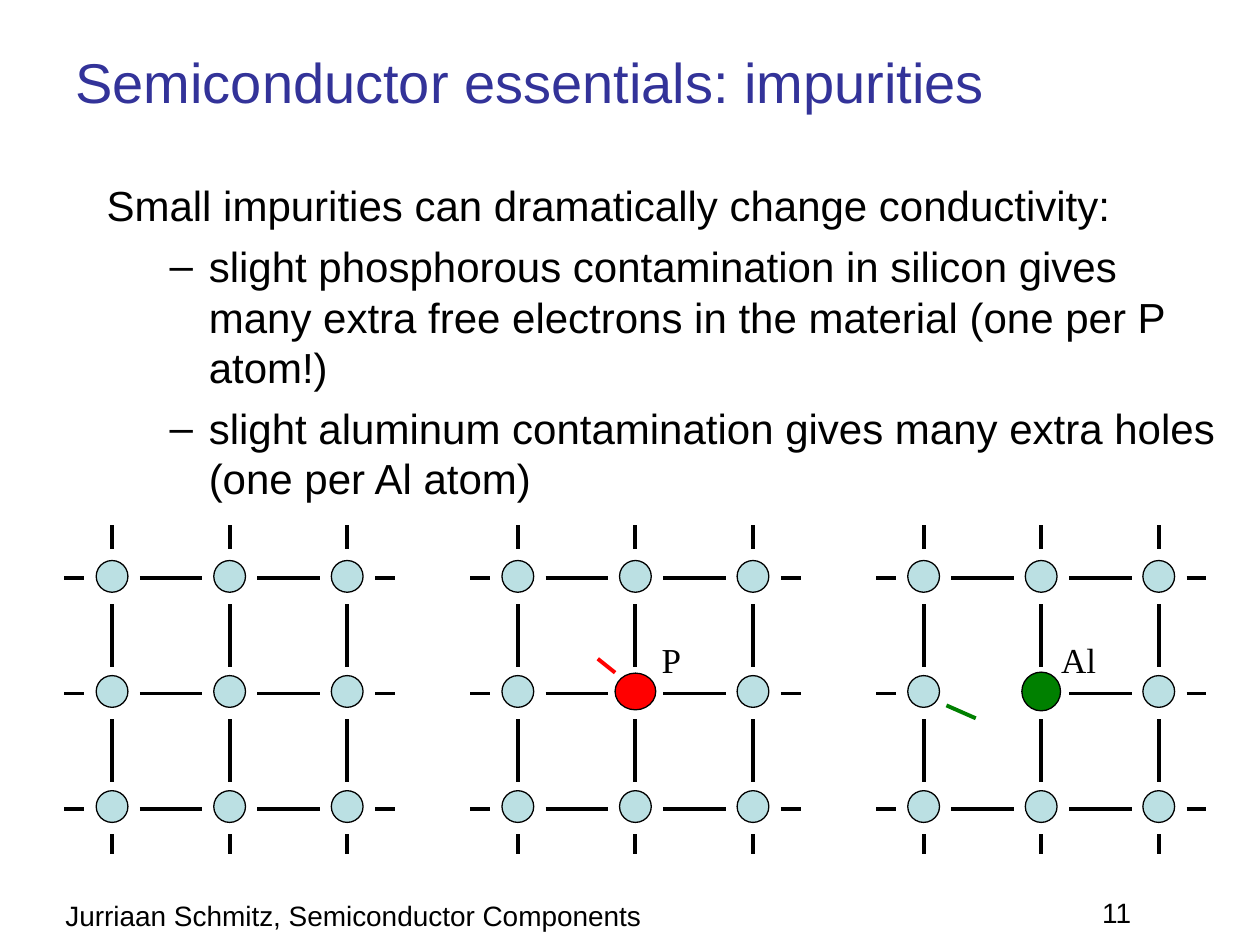
from dataclasses import dataclass

from lxml.etree import SubElement
from pptx import Presentation
from pptx.dml.color import RGBColor
from pptx.enum.shapes import MSO_CONNECTOR, MSO_SHAPE
from pptx.enum.text import MSO_ANCHOR
from pptx.oxml.ns import qn
from pptx.util import Cm, Pt


@dataclass(frozen=True)
class Theme:
    sans: str = "Arial"
    serif: str = "Times New Roman"
    ink: str = "000000"
    head: str = "333399"
    atom: str = "BBE0E3"
    donor: str = "FF0000"
    hole: str = "008000"
    title: int = 32
    body: int = 24
    label: int = 20
    foot: int = 16
    bond: float = 2.25
    rim: float = 0.75


@dataclass(frozen=True)
class Dopant:
    name: str
    color: str
    wide: float
    high: float
    label_x: float
    dash: tuple


THEME = Theme()
POINTS = [
    "slight phosphorous contamination in silicon gives many extra free "
    "electrons in the material (one per P atom!)",
    "slight aluminum contamination gives many extra holes (one per Al atom)",
]
PHOSPHOR = Dopant("P", THEME.donor, 0.82, 0.74, 3.61, (2.92, 2.97, 2.57, 2.69))
ALUMINUM = Dopant("Al", THEME.hole, 0.78, 0.78, 3.48, (1.42, 3.63, 2.01, 3.89))

# Lattice measures in cm: bonds run from NEAR to FAR of an atom,
# and stubs from the edge of the lattice or out to STUB
COLS = [0.96 + 2.37 * i for i in range(3)]
ROWS = [1.03 + 2.32 * i for i in range(3)]
ATOM = 0.64
NEAR, FAR = 0.56, 1.82
STUB = 0.96
DROP = 0.04


def add_text(slide, box, lines, size, color=THEME.ink, font=THEME.sans, wrap=False):
    """Put one paragraph per line in a box of (left, top, width, height) in cm."""
    frame = slide.shapes.add_textbox(*map(Cm, box)).text_frame
    frame.word_wrap = wrap
    for i, line in enumerate(lines):
        para = frame.paragraphs[0] if i == 0 else frame.add_paragraph()
        para.text = line
        para.font.size = Pt(size)
        para.font.name = font
        para.font.color.rgb = RGBColor.from_string(color)
    return frame


def add_bond(slide, box, ends, color=THEME.ink):
    left, top = box
    x1, y1, x2, y2 = ends
    line = slide.shapes.add_connector(
        MSO_CONNECTOR.STRAIGHT,
        Cm(left + x1), Cm(top + y1), Cm(left + x2), Cm(top + y2))
    line.line.color.rgb = RGBColor.from_string(color)
    line.line.width = Pt(THEME.bond)
    SubElement(line._element.spPr, qn("a:effectLst"))


def add_atom(slide, box, x, y, wide=ATOM, high=ATOM, color=THEME.atom):
    """Draw an atom centred on x, y within the box."""
    left, top = box
    atom = slide.shapes.add_shape(
        MSO_SHAPE.OVAL, Cm(left + x - wide / 2), Cm(top + y - high / 2),
        Cm(wide), Cm(high))
    atom.shadow.inherit = False
    atom.fill.solid()
    atom.fill.fore_color.rgb = RGBColor.from_string(color)
    atom.line.color.rgb = RGBColor.from_string(THEME.ink)
    atom.line.width = Pt(THEME.rim)


def spans(points):
    """Yield the first stub, the bonds and the last stub along one axis."""
    yield 0, points[0] - NEAR
    for point in points[:-1]:
        yield point + NEAR, point + FAR
    yield points[-1] + NEAR, points[-1] + STUB


def add_lattice(slide, box, dopant=None):
    for r, y in enumerate(ROWS):
        for i, (start, end) in enumerate(spans(COLS)):
            broken = dopant is ALUMINUM and (r, i) == (1, 1)
            if not broken:
                add_bond(slide, box, (start, y + DROP, end, y + DROP))
    for x in COLS:
        for start, end in spans(ROWS):
            add_bond(slide, box, (x, start, x, end))
    for r, y in enumerate(ROWS):
        for c, x in enumerate(COLS):
            if dopant and r == c == 1:
                add_atom(slide, box, x, y, dopant.wide, dopant.high, dopant.color)
            else:
                add_atom(slide, box, x, y)
    if dopant:
        left, top = box
        add_bond(slide, box, dopant.dash, dopant.color)
        add_text(slide, (left + dopant.label_x, top + 2.16, 1.5, 1.1),
                 [dopant.name], THEME.label, font=THEME.serif)


def add_title(slide, box):
    frame = add_text(slide, box, ["Semiconductor essentials: impurities"],
                     THEME.title, THEME.head, wrap=True)
    frame.vertical_anchor = MSO_ANCHOR.MIDDLE


def add_body(slide, box):
    lead = "Small impurities can dramatically change conductivity:"
    frame = add_text(slide, box, [lead, *POINTS], THEME.body, wrap=True)
    for i, para in enumerate(frame.paragraphs):
        para.space_before = Pt(6)
        props = para._p.get_or_add_pPr()
        if i:
            para.level = 1
            props.set("marL", str(Cm(2.06)))
            props.set("indent", str(Cm(-0.79)))
            SubElement(props, qn("a:buFont"), typeface=THEME.sans)
            SubElement(props, qn("a:buChar"), char="–")
            # Bullet marks must come before the default run style
            style = props.find(qn("a:defRPr"))
            if style is not None:
                props.append(style)
        else:
            props.set("marL", str(Cm(0.96)))
            props.set("indent", str(Cm(-0.96)))


def add_foot(slide, top):
    add_text(slide, (1.07, top, 12.12, 0.94),
             ["Jurriaan Schmitz, Semiconductor Components"], THEME.foot)
    add_text(slide, (21.97, top - 0.05, 3.07, 0.94), ["11"], THEME.foot)


def main():
    deck = Presentation()
    deck.slide_width, deck.slide_height = Cm(25.4), Cm(19.05)
    slide = deck.slides.add_slide(deck.slide_layouts[6])
    add_foot(slide, 17.98)
    add_title(slide, (1.27, 0.76, 22.86, 1.75))
    add_body(slide, (1.9, 3.5, 22.86, 6.99))
    for i, dopant in enumerate([None, PHOSPHOR, ALUMINUM]):
        add_lattice(slide, (1.3 + 8.18 * i, 10.59), dopant)
    deck.save("out.pptx")


if __name__ == "__main__":
    main()
